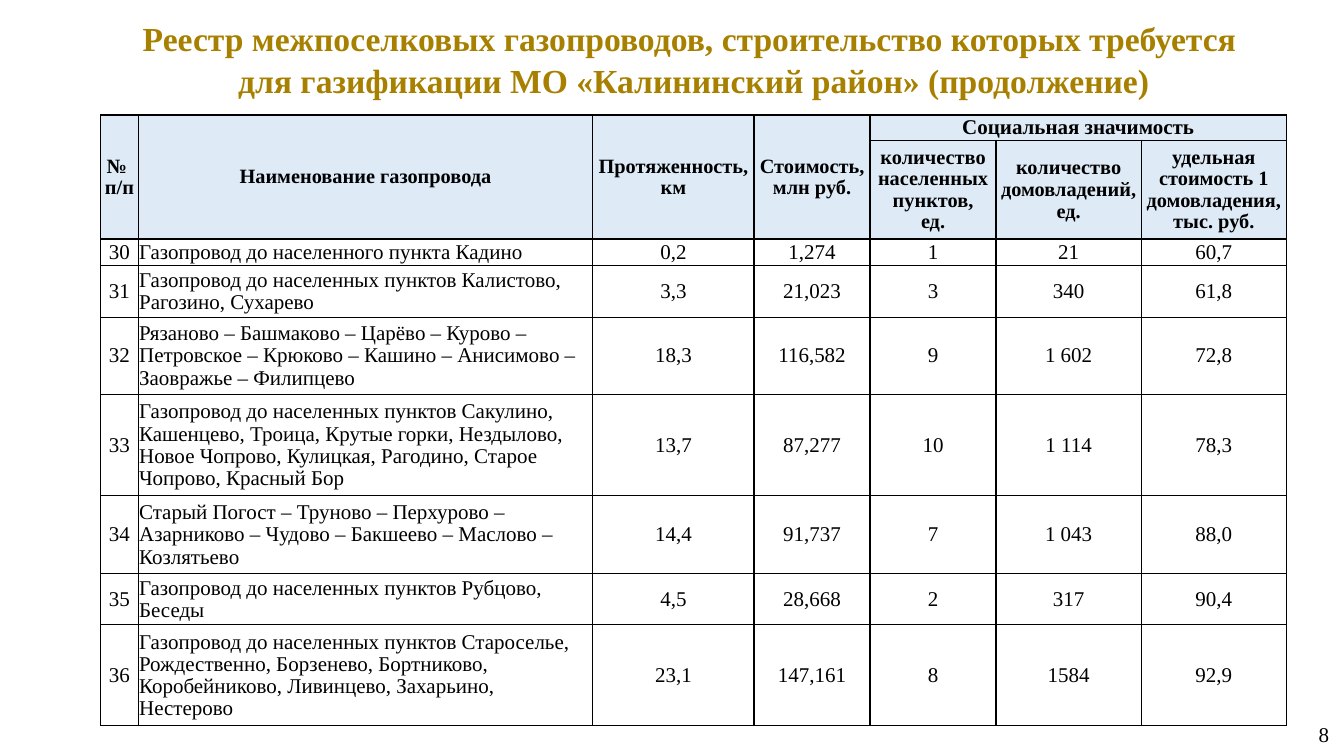
from lxml import etree
from pptx import Presentation
from pptx import util as u
from pptx.dml import color
from pptx.enum import text
from pptx.oxml import ns

COLORS = {"title": "A88000", "ink": "000000", "header": "DEEBF7"}
FONT = "Times New Roman"
CENTER, LEFT, RIGHT = text.PP_ALIGN.CENTER, text.PP_ALIGN.LEFT, text.PP_ALIGN.RIGHT

STYLES = {
    "title": {"size": u.Pt(24), "bold": True},
    "header": {"size": u.Pt(14.5), "bold": True},
    "group": {"size": u.Pt(15), "bold": True},
    "body": {"size": u.Pt(15), "bold": False},
}
COLUMN_WIDTHS = [0.37, 4.51, 1.6, 1.15, 1.25, 1.44, 1.44]
ROW_HEIGHTS = [0.25, 0.98, 0.26, 0.52, 0.76, 1.01, 0.77, 0.51, 1.0]
CELL_MARGINS = {"margin_left": u.Inches(0.01), "margin_right": u.Inches(0.01),
                "margin_top": u.Inches(0.01), "margin_bottom": 0,
                "vertical_anchor": text.MSO_ANCHOR.MIDDLE}

TITLE = ["Реестр межпоселковых газопроводов, строительство которых требуется ",
         "для газификации МО «Калининский район» (продолжение)"]
MAIN_HEADERS = ["№ \vп/п", "Наименование газопровода", "Протяженность, км",
                "Стоимость, млн руб."]
SOCIAL_HEADERS = [["количество населенных пунктов,", "ед."],
                  ["количество", "домовладений, ед."],
                  ["удельная стоимость 1 домовладения, тыс. руб."]]
PIPELINES = [
    ["30", "Газопровод до населенного пункта Кадино",
     "0,2", "1,274", "1", "21", "60,7"],
    ["31", "Газопровод до населенных пунктов Калистово, Рагозино, Сухарево",
     "3,3", "21,023", "3", "340", "61,8"],
    ["32", "Рязаново – Башмаково – Царёво – Курово – Петровское – Крюково – "
     "Кашино – Анисимово –Заовражье – Филипцево",
     "18,3", "116,582", "9", "1 602", "72,8"],
    ["33", "Газопровод до населенных пунктов Сакулино, Кашенцево, Троица, "
     "Крутые горки, Нездылово, Новое Чопрово, Кулицкая, Рагодино, "
     "Старое Чопрово, Красный Бор",
     "13,7", "87,277", "10", "1 114", "78,3"],
    ["34", "Старый Погост – Труново – Перхурово – Азарниково – Чудово – "
     "Бакшеево – Маслово – Козлятьево",
     "14,4", "91,737", "7", "1 043", "88,0"],
    ["35", "Газопровод до населенных пунктов Рубцово, Беседы",
     "4,5", "28,668", "2", "317", "90,4"],
    ["36", "Газопровод до населенных пунктов Староселье, Рождественно, "
     "Борзенево, Бортниково, Коробейниково, Ливинцево, Захарьино, Нестерово",
     "23,1", "147,161", "8", "1584", "92,9"],
]


def write(frame, lines, style, align=CENTER, ink="ink", spacing=None):
    frame.word_wrap = True
    for index, line in enumerate(lines):
        paragraph = frame.add_paragraph() if index else frame.paragraphs[0]
        paragraph.text = line
        paragraph.alignment = align
        paragraph.line_spacing = spacing
        for run in paragraph.runs:
            run.font.name = FONT
            run.font.color.rgb = color.RGBColor.from_string(COLORS[ink])
            for name, value in STYLES[style].items():
                setattr(run.font, name, value)


def add_borders(cell):
    properties = cell._tc.get_or_add_tcPr()
    for position, side in enumerate(("lnL", "lnR", "lnT", "lnB")):
        border = etree.Element(ns.qn(f"a:{side}"), w=str(u.Pt(1)))
        fill = etree.SubElement(border, ns.qn("a:solidFill"))
        etree.SubElement(fill, ns.qn("a:srgbClr"), val=COLORS["ink"])
        properties.insert(position, border)


def add_title(slide, left, top, width, height):
    box = slide.shapes.add_textbox(*map(u.Inches, (left, top, width, height)))
    write(box.text_frame, TITLE, "title", ink="title", spacing=1.04)


def add_page_number(slide, left, top, width, height):
    box = slide.shapes.add_textbox(*map(u.Inches, (left, top, width, height)))
    box.text_frame.vertical_anchor = text.MSO_ANCHOR.MIDDLE
    write(box.text_frame, ["8"], "body", RIGHT)


def add_registry(slide, left, top, width, height):
    registry = slide.shapes.add_table(
        len(ROW_HEIGHTS), len(COLUMN_WIDTHS),
        *map(u.Inches, (left, top, width, height))).table
    for column, share in zip(registry.columns, COLUMN_WIDTHS):
        column.width = u.Inches(width * share / sum(COLUMN_WIDTHS))
    for row, share in zip(registry.rows, ROW_HEIGHTS):
        row.height = u.Inches(height * share / sum(ROW_HEIGHTS))

    for row_index, row in enumerate(registry.rows):
        for cell in row.cells:
            for name, value in CELL_MARGINS.items():
                setattr(cell, name, value)
            if row_index < 2:
                cell.fill.solid()
                cell.fill.fore_color.rgb = color.RGBColor.from_string(COLORS["header"])
            else:
                cell.fill.background()
            add_borders(cell)

    def fill_cell(row, column, lines, style, align=CENTER):
        write(registry.cell(row, column).text_frame, lines, style, align, spacing=0.96)

    for column, header in enumerate(MAIN_HEADERS):
        registry.cell(0, column).merge(registry.cell(1, column))
        fill_cell(0, column, [header], "header")
    first_social = len(MAIN_HEADERS)
    registry.cell(0, first_social).merge(registry.cell(0, len(COLUMN_WIDTHS) - 1))
    fill_cell(0, first_social, ["Социальная значимость"], "group")
    for column, lines in enumerate(SOCIAL_HEADERS, first_social):
        fill_cell(1, column, lines, "header")
    for row, pipeline in enumerate(PIPELINES, 2):
        for column, value in enumerate(pipeline):
            fill_cell(row, column, [value], "body", LEFT if column == 1 else CENTER)


def main():
    deck = Presentation()
    deck.slide_width, deck.slide_height = u.Inches(13.33), u.Inches(7.5)
    slide = deck.slides.add_slide(deck.slide_layouts[6])
    add_page_number(slide, 10.57, 6.98, 2.71, 0.61)
    add_title(slide, 1, 0.11, 11.76, 0.91)
    add_registry(slide, 1, 1.14, 11.76, 6.06)
    deck.save("out.pptx")


if __name__ == "__main__":
    main()
